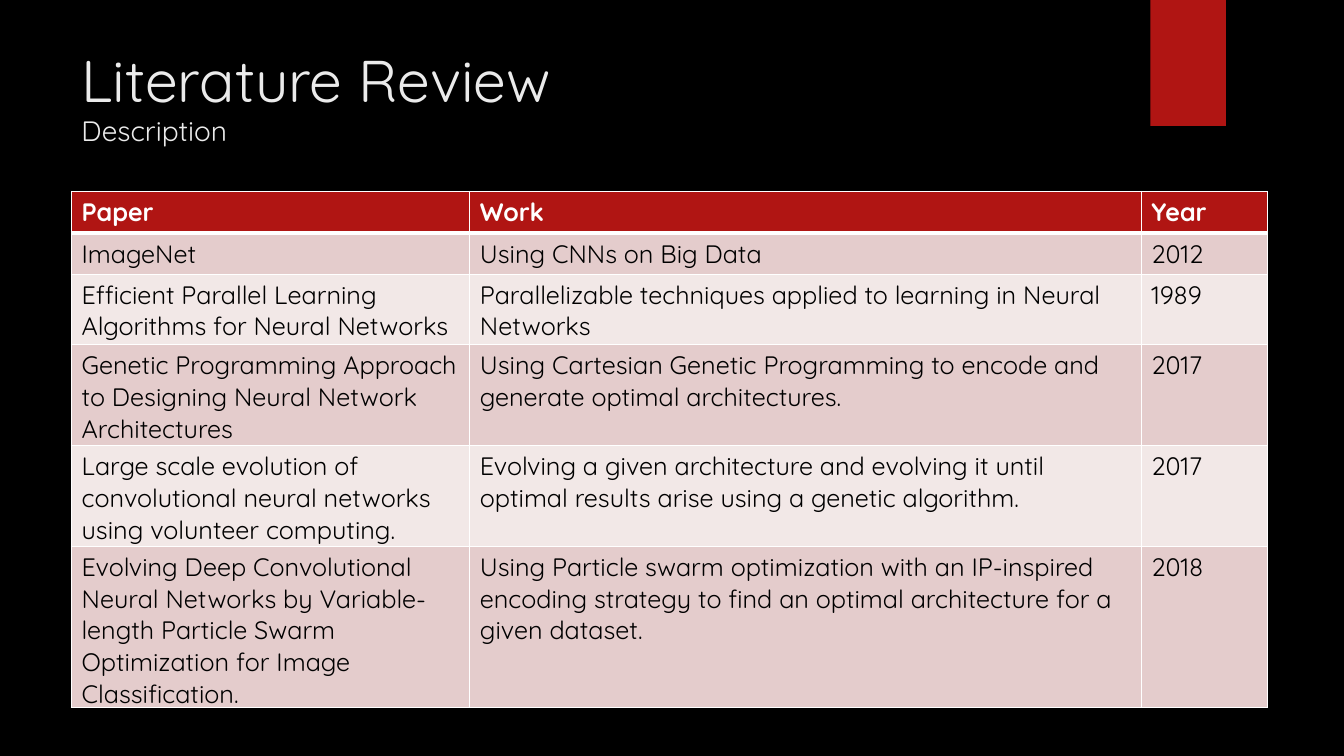
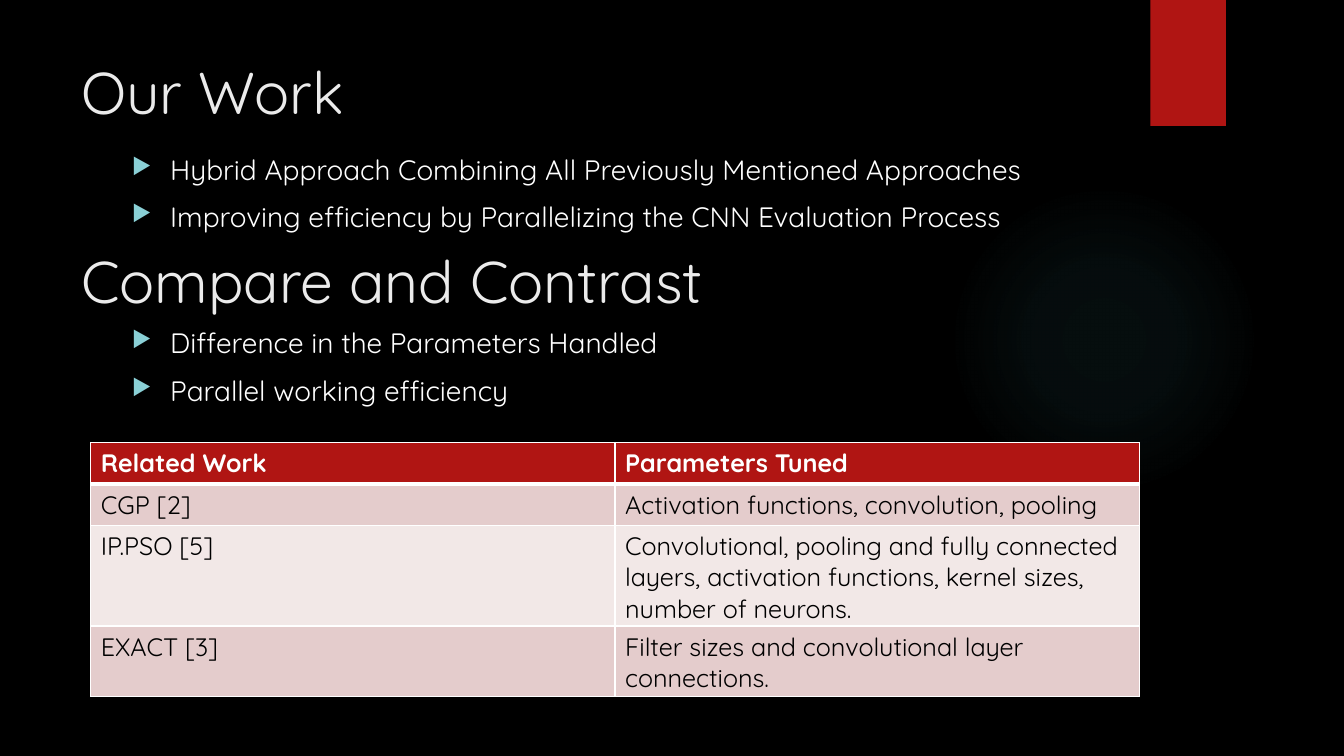
from lxml import etree
from pptx import Presentation
from pptx.dml.color import RGBColor
from pptx.enum.shapes import MSO_SHAPE
from pptx.oxml import parse_xml
from pptx.oxml.ns import nsdecls, qn
from pptx.util import Inches, Pt

BLACK = RGBColor(0x00, 0x00, 0x00)
WHITE = RGBColor(0xFF, 0xFF, 0xFF)
OFF_WHITE = RGBColor(0xEB, 0xEB, 0xEB)
RED = RGBColor(0xB0, 0x15, 0x13)
PINK = RGBColor(0xE4, 0xCC, 0xCC)
PALE_PINK = RGBColor(0xF2, 0xE8, 0xE7)
AQUA = RGBColor(0x8A, 0xD0, 0xD6)
TEAL = RGBColor(0x50, 0xB9, 0xC1)
FONT = "Quicksand"
GLOW_STOPS = [(0, 7), (36, 6), (69, 0)]  # position and opacity, percent
ROW_HEIGHT = 0.41  # one line of text; longer rows grow

PAPERS = [
    ("Paper", "Work", "Year"),
    ("ImageNet", "Using CNNs on Big Data", "2012"),
    ("Efficient Parallel Learning Algorithms for Neural Networks",
     "Parallelizable techniques applied to learning in Neural Networks", "1989"),
    ("Genetic Programming Approach to Designing Neural Network Architectures",
     "Using Cartesian Genetic Programming to encode and generate optimal architectures.",
     "2017"),
    ("Large scale evolution of convolutional neural networks using volunteer computing.",
     "Evolving a given architecture and evolving it until optimal results arise "
     "using a genetic algorithm.", "2017"),
    ("Evolving Deep Convolutional Neural Networks by Variable-length Particle Swarm "
     "Optimization for Image Classification.",
     "Using Particle swarm optimization with an IP-inspired encoding strategy to find "
     "an optimal architecture for a given dataset.", "2018"),
]
PARAMETERS = [
    ("Related Work", "Parameters Tuned"),
    ("CGP [2]", "Activation functions, convolution, pooling"),
    ("IP.PSO [5]", "Convolutional, pooling and fully connected layers, "
     "activation functions, kernel sizes, number of neurons."),
    ("EXACT [3]", "Filter sizes and convolutional layer connections."),
]


def set_font(paragraph, size, color, bold=False):
    font = paragraph.font
    font.name, font.size, font.bold = FONT, Pt(size), bold
    font.color.rgb = color


def set_borders(cell, widths):
    """Draw white borders; widths maps each side (L, R, T, B) to points."""
    properties = cell._tc.get_or_add_tcPr()
    for side, width in widths.items():
        properties.append(parse_xml(
            f'<a:ln{side} {nsdecls("a")} w="{Pt(width)}"><a:solidFill>'
            f'<a:srgbClr val="{WHITE}"/></a:solidFill></a:ln{side}>'))


def add_triangle_bullet(paragraph):
    properties = paragraph._p.get_or_add_pPr()
    properties.set("marL", str(Inches(0.38)))
    properties.set("indent", str(-Inches(0.38)))
    color = etree.SubElement(properties, qn("a:buClr"))
    etree.SubElement(color, qn("a:srgbClr"), val=str(AQUA))
    etree.SubElement(properties, qn("a:buSzPct"), val="80000")
    etree.SubElement(properties, qn("a:buChar"), char="▶")


class DarkDeck:
    """Holds the shared style and the slide being filled."""

    def __init__(self):
        self.deck = Presentation()
        self.deck.slide_width = Inches(13.33)
        self.deck.slide_height = Inches(7.5)
        self.page = None

    def add_page(self):
        self.page = self.deck.slides.add_slide(self.deck.slide_layouts[6])
        background = self.page.background.fill
        background.solid()
        background.fore_color.rgb = BLACK
        self.add_glow()
        self.add_red_tab()

    def add_plain_shape(self, preset, left, top, width, height):
        shape = self.page.shapes.add_shape(
            preset, Inches(left), Inches(top), Inches(width), Inches(height))
        shape.line.fill.background()
        shape.shadow.inherit = False
        return shape

    def add_glow(self):
        glow = self.add_plain_shape(MSO_SHAPE.OVAL, 9.41, 1.83, 3.08, 3.08)
        stops = "".join(
            f'<a:gs pos="{position * 1000}"><a:srgbClr val="{TEAL}">'
            f'<a:alpha val="{opacity * 1000}"/></a:srgbClr></a:gs>'
            for position, opacity in GLOW_STOPS)
        gradient = parse_xml(
            f'<a:gradFill {nsdecls("a")}><a:gsLst>{stops}</a:gsLst>'
            '<a:path path="circle"><a:fillToRect l="50000" t="50000" r="50000" b="50000"/>'
            '</a:path></a:gradFill>')
        glow._element.spPr.find(qn("a:prstGeom")).addnext(gradient)

    def add_red_tab(self):
        tab = self.add_plain_shape(MSO_SHAPE.RECTANGLE, 11.41, 0, 0.75, 1.25)
        tab.fill.solid()
        tab.fill.fore_color.rgb = RED

    def add_text_frame(self, left, top, width, height):
        box = self.page.shapes.add_textbox(
            Inches(left), Inches(top), Inches(width), Inches(height))
        box.text_frame.word_wrap = True
        return box.text_frame

    def add_title(self, text, top, height, subtitle=None):
        para = self.add_text_frame(0.71, top, 10.29, height).paragraphs[0]
        set_font(para, 42, OFF_WHITE)
        para.add_run().text = text
        if subtitle:
            para.add_line_break()
            span = para.add_run()
            span.text = subtitle
            span.font.size = Pt(20)

    def add_bullets(self, items, top, height):
        frame = self.add_text_frame(1.21, top, 9.78, height)
        frame.text = "\n".join(items)
        for para in frame.paragraphs:
            para.space_before = Pt(10)
            add_triangle_bullet(para)
            set_font(para, 20, WHITE)

    def add_table(self, rows, left, top, widths):
        table = self.page.shapes.add_table(
            len(rows), len(widths), Inches(left), Inches(top),
            Inches(sum(widths)), Inches(ROW_HEIGHT * len(rows))).table
        for column, width in zip(table.columns, widths):
            column.width = Inches(width)
        for row_index, row in enumerate(rows):
            header = row_index == 0
            fill = RED if header else PINK if row_index % 2 else PALE_PINK
            for column_index, text in enumerate(row):
                cell = table.cell(row_index, column_index)
                cell.text = text
                set_font(cell.text_frame.paragraphs[0], 18,
                         WHITE if header else BLACK, bold=header)
                set_borders(cell, {"L": 1, "R": 1, "T": 3 if row_index == 1 else 1,
                                   "B": 3 if header else 1})
                cell.fill.solid()
                cell.fill.fore_color.rgb = fill


def main():
    show = DarkDeck()

    show.add_page()
    show.add_title("Literature Review", 0.38, 1.03, subtitle="Description")
    show.add_table(PAPERS, 0.71, 1.9, [3.95, 6.66, 1.25])

    show.add_page()
    show.add_title("Our Work", 0.5, 1.53)
    show.add_bullets(["Hybrid Approach Combining All Previously Mentioned Approaches",
                      "Improving efficiency by Parallelizing the CNN Evaluation Process"],
                     1.46, 0.97)
    show.add_title("Compare and Contrast", 2.38, 0.97)
    show.add_bullets(["Difference in the Parameters Handled",
                      "Parallel working efficiency"], 3.18, 1.53)
    show.add_table(PARAMETERS, 0.9, 4.39, [5.2, 5.2])

    show.deck.save("out.pptx")


if __name__ == "__main__":
    main()
